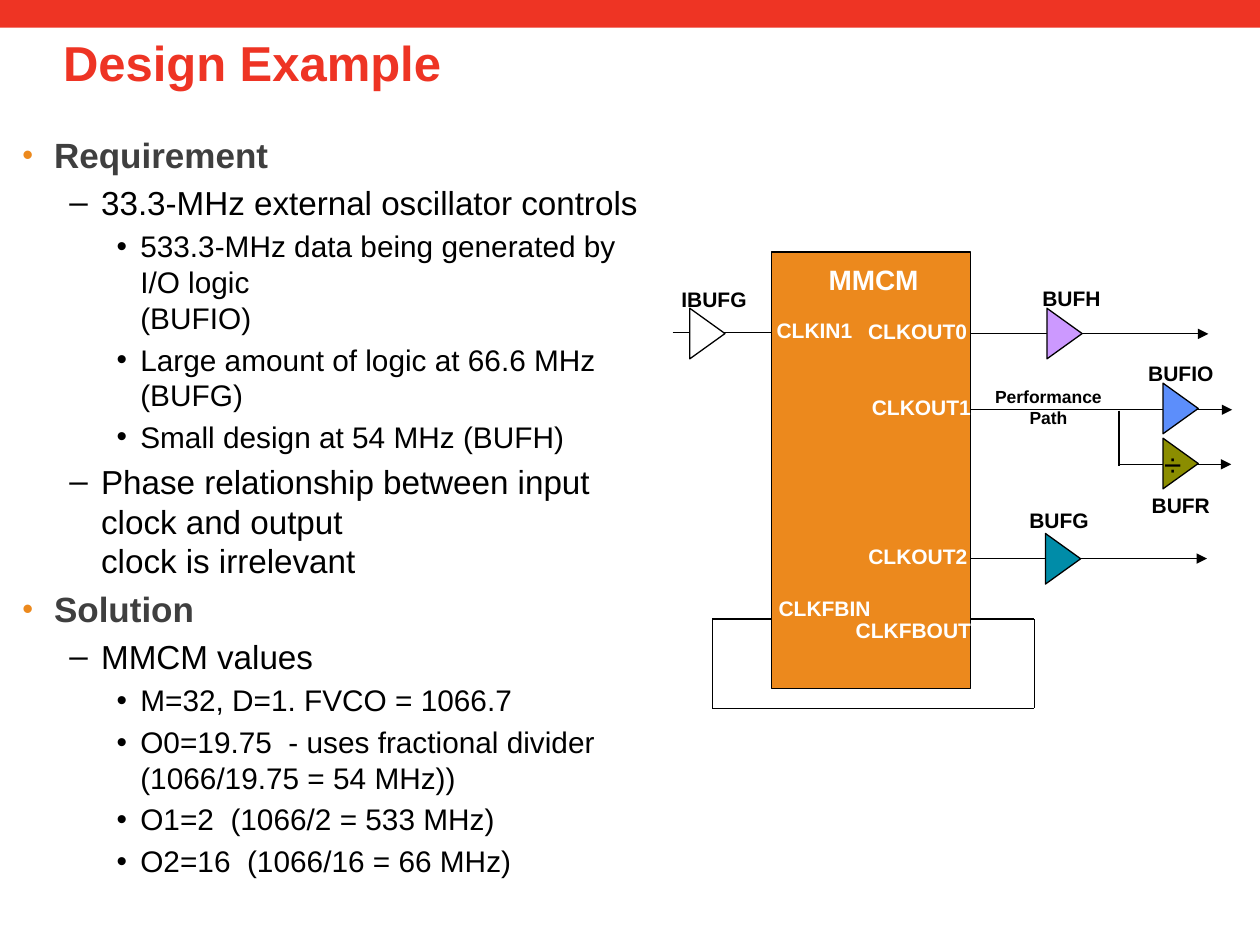
from lxml.etree import SubElement
from pptx import Presentation
from pptx.dml.color import RGBColor
from pptx.enum.shapes import MSO_CONNECTOR, MSO_SHAPE
from pptx.enum.text import MSO_ANCHOR, MSO_AUTO_SIZE, PP_ALIGN
from pptx.oxml.ns import qn
from pptx.util import Cm, Pt

INK = {
    "red": "EE3424", "orange": "EC891D", "gray": "3F3F3F", "black": "000000",
    "white": "FFFFFF", "blue": "5C8EFB", "violet": "CC99FF", "teal": "008CA8",
    "olive": "8B8D00",
}


def write(para, text, size=12, color="black", bold=True, align=PP_ALIGN.LEFT):
    para.text = text
    para.alignment = align
    for run in para.runs:
        run.font.name = "Arial"
        run.font.size = Pt(size)
        run.font.bold = bold
        run.font.color.rgb = RGBColor.from_string(INK[color])


def block(kind, left, top, width, height, fill, edge="black"):
    """Add a filled shape; edge=None leaves out its outline."""
    shape = slide.shapes.add_shape(kind, Cm(left), Cm(top), Cm(width), Cm(height))
    shape.shadow.inherit = False
    shape.fill.solid()
    shape.fill.fore_color.rgb = RGBColor.from_string(INK[fill])
    if edge:
        shape.line.color.rgb = RGBColor.from_string(INK[edge])
        shape.line.width = Pt(0.75)
    else:
        shape.line.fill.background()
    return shape


deck = Presentation()
deck.slide_width, deck.slide_height = Cm(25.4), Cm(19.05)
slide = deck.slides.add_slide(deck.slide_layouts[5])

# Title and top bar
block(MSO_SHAPE.RECTANGLE, 0, 0, 25.4, 0.56, "red", edge=None)
title = slide.shapes.title
title.left, title.top, title.width, title.height = Cm(1.27), Cm(0.58), Cm(22.86), Cm(3.18)
frame = title.text_frame
frame.auto_size = MSO_AUTO_SIZE.NONE
frame.vertical_anchor = MSO_ANCHOR.TOP
frame.margin_left = 0
write(frame.paragraphs[0], "Design Example", size=28, color="red")
frame.paragraphs[0].line_spacing = 0.98

# Outline: size, colour, bold, indent, hang, bullet, bullet colour, bullet percent
levels = [
    (20, "gray", True, 0.64, 0.64, "•", "orange", 88),
    (19, "black", False, 1.59, 0.64, "–", "black", 100),
    (17, "black", False, 2.38, 0.48, "•", "black", 100),
]
points = [
    (0, "Requirement"),
    (1, "33.3-MHz external oscillator controls"),
    (2, "533.3-MHz data being generated by I/O logic \v(BUFIO)"),
    (2, "Large amount of logic at 66.6 MHz (BUFG)"),
    (2, "Small design at 54 MHz (BUFH)"),
    (1, "Phase relationship between input clock and output \vclock is irrelevant"),
    (0, "Solution"),
    (1, "MMCM values"),
    (2, "M=32, D=1. FVCO = 1066.7"),
    (2, "O0=19.75  - uses fractional divider (1066/19.75 = 54 MHz))"),
    (2, "O1=2  (1066/2 = 533 MHz)"),
    (2, "O2=16  (1066/16 = 66 MHz)"),
]
frame = slide.shapes.add_textbox(Cm(0.45), Cm(2.57), Cm(13.11), Cm(16.13)).text_frame
frame.word_wrap = True
frame.margin_left = 0
for i, (level, text) in enumerate(points):
    size, color, bold, indent, hang, mark, tint, scale = levels[level]
    para = frame.add_paragraph() if i else frame.paragraphs[0]
    write(para, text, size=size, color=color, bold=bold)
    para.level = level
    para.space_before = Pt(size * 0.2)
    props = para._p.get_or_add_pPr()
    props.set("marL", str(Cm(indent)))
    props.set("indent", str(-Cm(hang)))
    SubElement(SubElement(props, qn("a:buClr")), qn("a:srgbClr"), val=INK[tint])
    SubElement(props, qn("a:buSzPct"), val=str(scale * 1000))
    SubElement(props, qn("a:buFont"), typeface="Arial")
    SubElement(props, qn("a:buChar"), char=mark)

# Wires: start, end, arrow
wires = [
    (13.56, 6.7, 15.57, 6.7, False),
    (19.56, 6.73, 24.36, 6.73, True),
    (19.56, 8.26, 24.84, 8.26, True),
    (22.56, 8.28, 22.56, 9.4, False),
    (22.56, 9.36, 24.82, 9.36, True),
    (19.56, 11.26, 24.33, 11.26, True),
    (19.56, 12.48, 20.85, 12.48, False),
    (20.85, 12.48, 20.85, 14.28, False),
    (14.36, 14.28, 20.85, 14.28, False),
    (14.36, 12.48, 14.36, 14.28, False),
    (14.36, 12.48, 15.57, 12.48, False),
]
for *ends, arrow in wires:
    wire = slide.shapes.add_connector(MSO_CONNECTOR.STRAIGHT, *map(Cm, ends))
    wire.line.color.rgb = RGBColor.from_string(INK["black"])
    wire.line.width = Pt(0.75)
    if arrow:
        SubElement(wire.line._get_or_add_ln(), qn("a:tailEnd"), type="triangle")
    SubElement(wire._element.spPr, qn("a:effectLst"))

# Clock manager and buffers
block(MSO_SHAPE.RECTANGLE, 15.56, 5.08, 4, 8.8, "orange")
buffers = [
    (13.75, 6.37, "white"), (20.95, 6.37, "violet"), (23.29, 7.88, "blue"),
    (23.29, 8.99, "olive"), (20.92, 10.91, "teal"),
]
for left, top, fill in buffers:
    block(MSO_SHAPE.ISOSCELES_TRIANGLE, left, top, 1.02, 0.71, fill).rotation = 90

# Labels: text, left, top, width, format
white = {"color": "white"}
labels = [
    ("MMCM", 16.3, 5.16, 2.62, {"size": 16, "color": "white"}),
    ("CLKIN1", 15.33, 6.27, 2.18, white),
    ("CLKOUT0", 17.18, 6.3, 2.64, white),
    ("CLKOUT1", 17.24, 7.82, 2.67, white),
    ("CLKOUT2", 17.17, 10.84, 2.67, white),
    ("CLKFBIN", 15.38, 11.89, 2.49, white),
    ("CLKFBOUT", 16.94, 12.32, 2.95, white),
    ("IBUFG", 13.43, 5.66, 1.93, {}),
    ("BUFH", 20.71, 5.64, 1.78, {}),
    ("BUFIO", 22.84, 7.14, 1.93, {}),
    ("BUFR", 22.93, 9.8, 1.75, {}),
    ("BUFG", 20.46, 10.11, 1.78, {}),
    ("Performance\nPath", 19.6, 7.65, 3.07, {"size": 10}),
    ("÷", 23.12, 8.84, 1.04, {"size": 18, "bold": False}),
]
for text, left, top, width, style in labels:
    lines = text.split("\n")
    height = 0.25 + len(lines) * style.get("size", 12) * 0.042
    frame = slide.shapes.add_textbox(Cm(left), Cm(top), Cm(width), Cm(height)).text_frame
    frame.word_wrap = False
    for i, line in enumerate(lines):
        para = frame.add_paragraph() if i else frame.paragraphs[0]
        write(para, line, align=PP_ALIGN.CENTER, **style)

deck.save("out.pptx")
